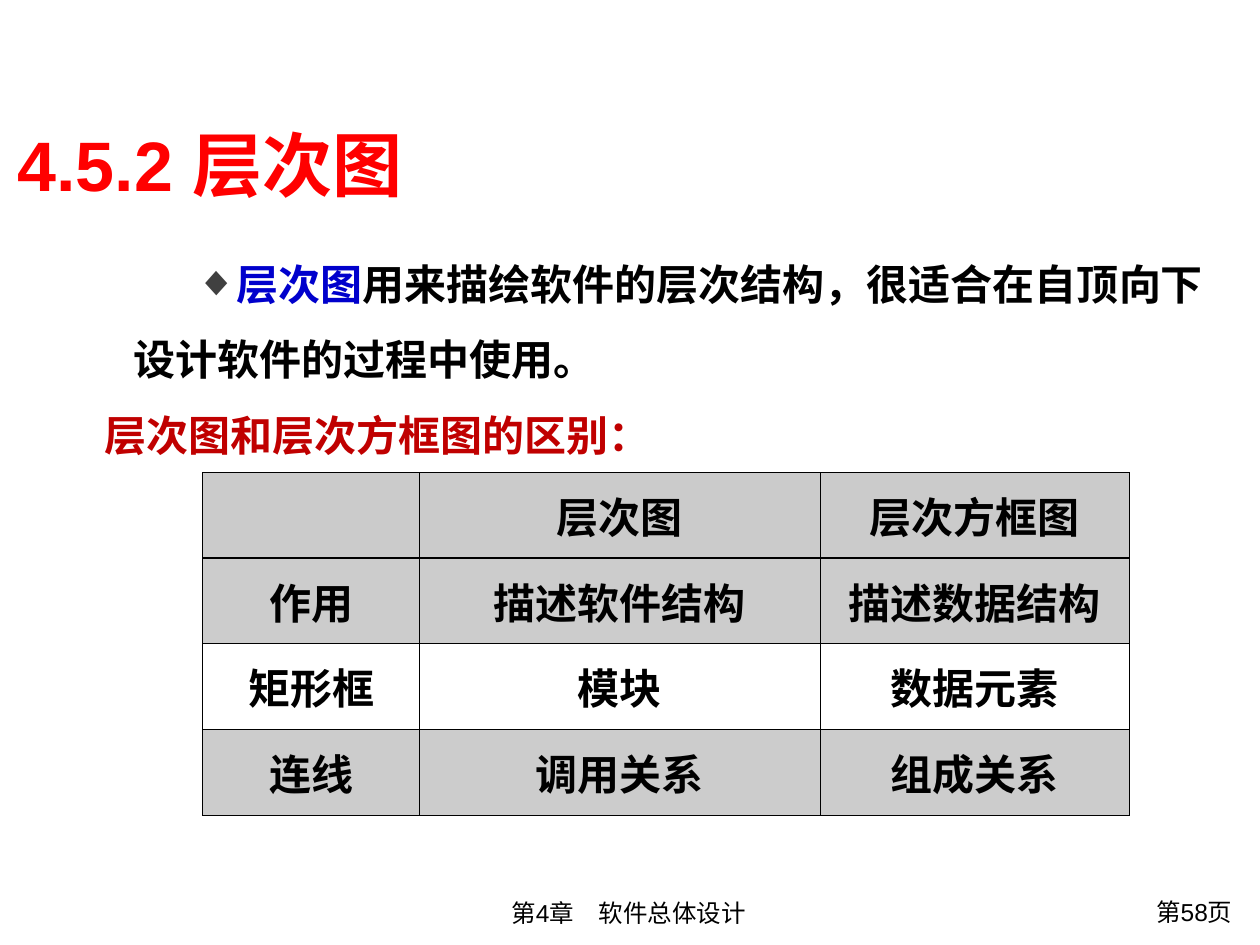
from lxml.etree import SubElement
from pptx import Presentation
from pptx.dml.color import RGBColor
from pptx.enum.text import MSO_ANCHOR, PP_ALIGN
from pptx.oxml.ns import qn
from pptx.util import Inches, Pt

# Content
FONT = "Arial"
BLACK, RED, BLUE, DARK = "000000", "FF0000", "0000CC", "C00000"
HEAD, BAND = "CBCBCB", "CCCCCC"
TITLE = [("4.5.2 层次图", RED)]
BODY = [
    [("层次图", BLUE),
     ("用来描绘软件的层次结构，很适合在自顶向下设计软件的过程中使用。", BLACK)],
    [("层次图和层次方框图的区别：", DARK)],
]
ROWS = [
    ("", "层次图", "层次方框图"),
    ("作用", "描述软件结构", "描述数据结构"),
    ("矩形框", "模块", "数据元素"),
    ("连线", "调用关系", "组成关系"),
]
FILLS = [HEAD, BAND, None, BAND]
COLS = [1.72, 3.18, 2.45]
ROW_H = 0.68
FOOTER = [("第4章　软件总体设计", BLACK)]
PAGE = [("第58页", BLACK)]


def color(code):
    return RGBColor.from_string(code)


def write(para, runs, size, bold=False, align=PP_ALIGN.LEFT):
    para.alignment = align
    for text, code in runs:
        run = para.add_run()
        run.text = text
        font = run.font
        font.name, font.size, font.bold = FONT, Pt(size), bold
        font.color.rgb = color(code)


def add_box(slide, place, paras, size, bold=False, align=PP_ALIGN.LEFT,
            anchor=MSO_ANCHOR.TOP, inset=(0.1, 0.05)):
    frame = slide.shapes.add_textbox(*map(Inches, place)).text_frame
    frame.word_wrap = True
    frame.vertical_anchor = anchor
    frame.margin_left = frame.margin_right = Inches(inset[0])
    frame.margin_top = frame.margin_bottom = Inches(inset[1])
    for i, runs in enumerate(paras):
        para = frame.add_paragraph() if i else frame.paragraphs[0]
        write(para, runs, size, bold, align)
    return frame


def add_bullet(para, sign, code, left, indent):
    props = para._p.get_or_add_pPr()
    props.set("marL", str(Inches(left)))
    props.set("indent", str(Inches(indent)))
    tint = SubElement(props, qn("a:buClr"))
    SubElement(tint, qn("a:srgbClr"), val=code)
    SubElement(props, qn("a:buFont"), typeface=FONT)
    SubElement(props, qn("a:buChar"), char=sign)


def add_borders(cell, widths):
    props = cell._tc.get_or_add_tcPr()
    for side, width in zip("LRTB", widths):
        line = SubElement(props, qn(f"a:ln{side}"), w=str(Pt(width)))
        fill = SubElement(line, qn("a:solidFill"))
        SubElement(fill, qn("a:srgbClr"), val=BLACK)


prs = Presentation()
prs.slide_width, prs.slide_height = Inches(10), Inches(7.5)
slide = prs.slides.add_slide(prs.slide_layouts[6])

# Footer, title and page number
add_box(slide, (2.35, 7.08, 5.28, 0.34), [FOOTER], 14, align=PP_ALIGN.CENTER)
add_box(slide, (0.04, 0.94, 8.43, 0.72), [TITLE], 40, True,
        anchor=MSO_ANCHOR.MIDDLE)
add_box(slide, (8.54, 7.07, 1.34, 0.37), [PAGE], 14, align=PP_ALIGN.RIGHT)

# Body text
body = add_box(slide, (0.83, 1.85, 8.9, 1.8), BODY, 24, True, inset=(0, 0))
for para in body.paragraphs:
    para.line_spacing = 1.5
add_bullet(body.paragraphs[0], "◆", "404040", 0.23, 0.49)

# Comparison table
place = map(Inches, (1.61, 3.75, sum(COLS), ROW_H * len(ROWS)))
table = slide.shapes.add_table(len(ROWS), len(COLS), *place).table
table.first_row = table.horz_banding = False
for col, width in zip(table.columns, COLS):
    col.width = Inches(width)
for r, texts in enumerate(ROWS):
    table.rows[r].height = Inches(ROW_H)
    top, bottom = (0.96 if r == n else 0.45 for n in (1, 0))
    for c, text in enumerate(texts):
        cell = table.cell(r, c)
        cell.vertical_anchor = MSO_ANCHOR.MIDDLE
        add_borders(cell, (0.45, 0.45, top, bottom))
        if FILLS[r]:
            cell.fill.solid()
            cell.fill.fore_color.rgb = color(FILLS[r])
        else:
            cell.fill.background()
        if text:
            write(cell.text_frame.paragraphs[0], [(text, BLACK)], 24, True,
                  PP_ALIGN.CENTER)

prs.save("out.pptx")
